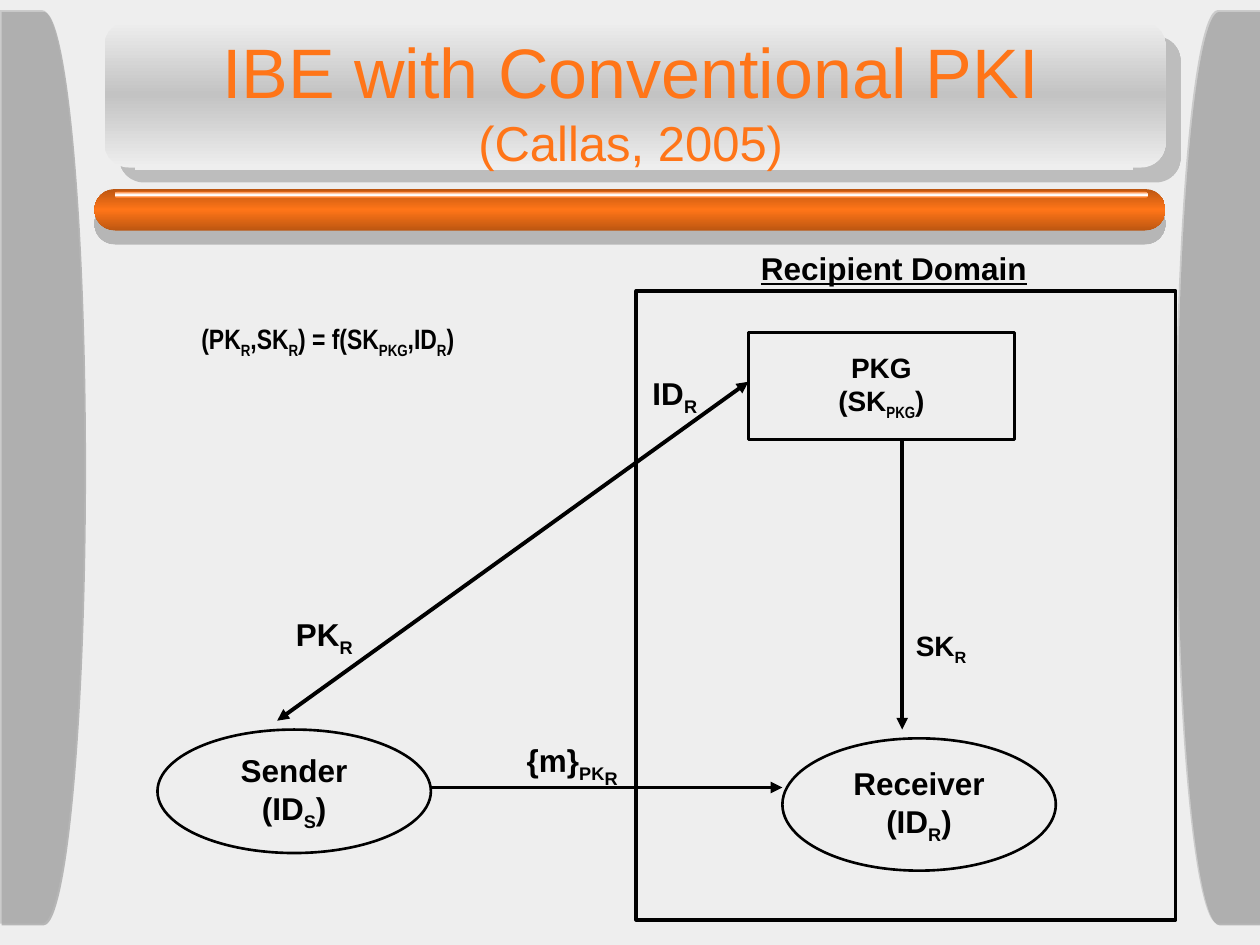
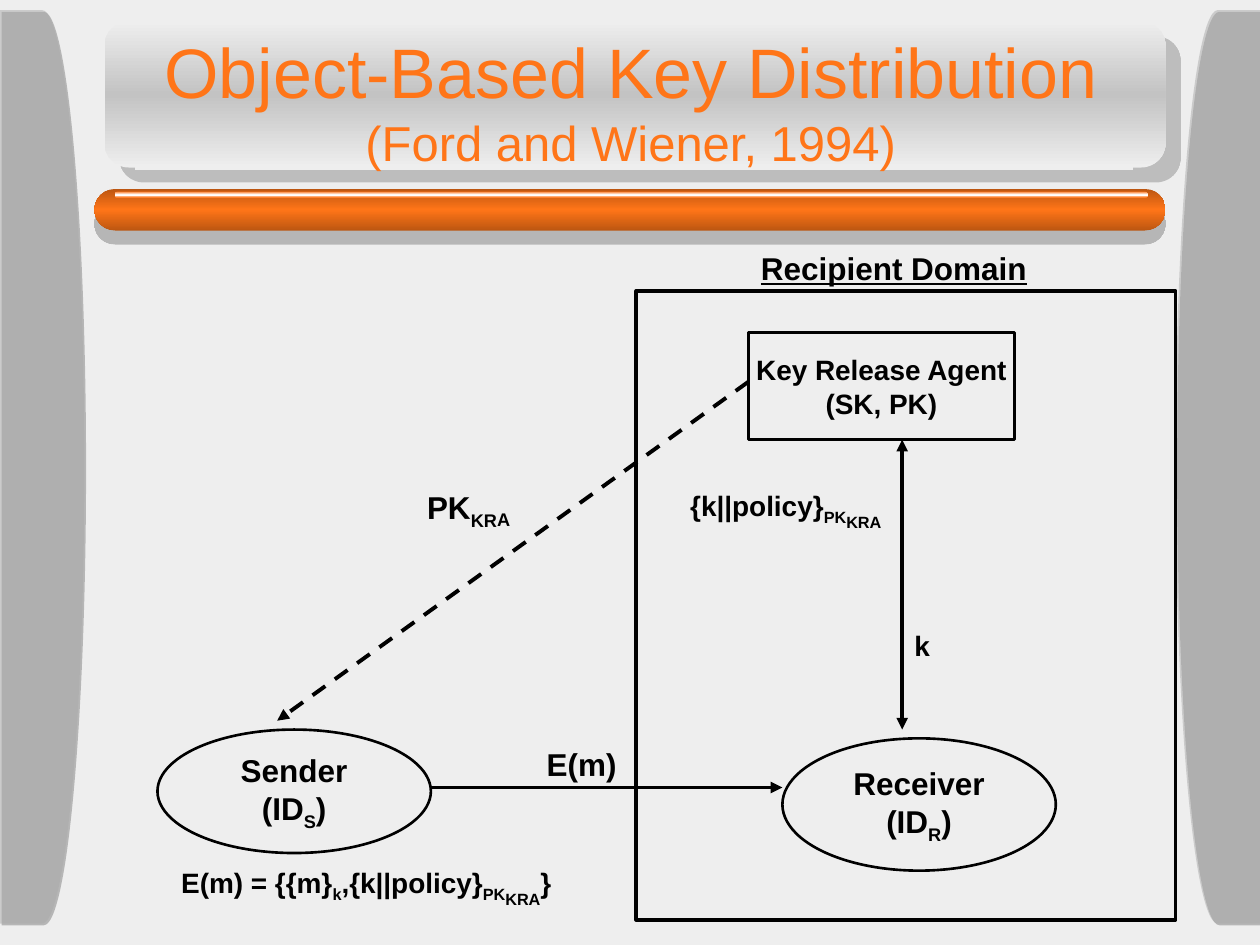
from copy import deepcopy

from lxml.etree import SubElement
from pptx import Presentation
from pptx.dml.color import RGBColor
from pptx.enum.dml import MSO_LINE
from pptx.enum.shapes import MSO_CONNECTOR, MSO_SHAPE
from pptx.enum.text import MSO_ANCHOR, MSO_AUTO_SIZE, PP_ALIGN
from pptx.oxml.ns import qn
from pptx.util import Inches, Pt

PAPER, SILVER, GREY = "EEEEEE", "C3C3C3", "AAAAAA"
ORANGE, RUST, WHITE, BLACK = "FF7518", "BC5611", "FFFFFF", "000000"
FONT, NARROW = "Arial", "Arial Narrow"
TITLE = (0.92, 0.33, 8.17, 0.92)
DOMAIN = (5.05, 2.31, 4.28, 4.99)
SENDER = (1.25, 5.79, 2.17, 0.98)
TILT = -0.3


def color(hex_code):
    """Turn a hex string into a colour."""
    return RGBColor.from_string(hex_code)


def within(box, dx, dy, w, h):
    """Return a box offset from the corner of another one."""
    return box[0] + dx, box[1] + dy, w, h


def sub(text, font=None):
    """Describe a subscript run."""
    return text, -25, font


def subsub(text):
    """Describe a subscript of a subscript."""
    return text, -43, None


def add_run(p, text, size, hex_code, font=FONT, bold=False, underline=None, base=0):
    """Add one formatted run to a paragraph."""
    r = p.add_run()
    r.text = text
    r.font.name, r.font.size = font, Pt(size)
    r.font.bold, r.font.underline = bold, underline
    r.font.color.rgb = color(hex_code)
    if base:
        r.font._element.set("baseline", str(base * 1000))
    return r


def write(tf, lines, size, font=FONT, align=PP_ALIGN.LEFT, underline=None):
    """Write lines made of plain strings and subscript runs."""
    for i, line in enumerate(lines):
        p = tf.paragraphs[0] if i == 0 else tf.add_paragraph()
        p.alignment = align
        for part in line:
            text, base, own_font = (part, 0, None) if isinstance(part, str) else part
            add_run(p, text, size, BLACK, own_font or font, True, underline, base)


def add_label(s, box, parts, size=18, font=FONT, rotation=0, wrap=True, underline=None):
    """Add a one-line text label."""
    sp = s.shapes.add_textbox(*map(Inches, box))
    sp.rotation = rotation
    sp.text_frame.word_wrap = wrap
    sp.text_frame.auto_size = MSO_AUTO_SIZE.SHAPE_TO_FIT_TEXT
    write(sp.text_frame, [parts], size, font, underline=underline)


def add_plain(s, kind, box):
    """Add a preset shape without line or shadow."""
    sp = s.shapes.add_shape(kind, *map(Inches, box))
    sp.shadow.inherit = False
    sp.line.fill.background()
    return sp


def add_node(s, kind, box, lines=(), size=18, width=1.5):
    """Add an outlined shape with centred text."""
    sp = add_plain(s, kind, box)
    sp.fill.background()
    sp.line.color.rgb = color(BLACK)
    sp.line.width = Pt(width)
    tf = sp.text_frame
    tf.word_wrap = False
    tf.vertical_anchor = MSO_ANCHOR.MIDDLE
    write(tf, lines, size, align=PP_ALIGN.CENTER)


def add_line(s, start, end, hex_code=BLACK, head=False, tail=False, dashed=False):
    """Add a straight line with optional arrowheads."""
    cx = s.shapes.add_connector(MSO_CONNECTOR.STRAIGHT, *map(Inches, start + end))
    cx.line.color.rgb = color(hex_code)
    cx.line.width = Pt(2.25)
    if dashed:
        cx.line.dash_style = MSO_LINE.DASH
    ln = cx.line._get_or_add_ln()
    for tag, shown in (("a:headEnd", head), ("a:tailEnd", tail)):
        if shown:
            SubElement(ln, qn(tag), type="triangle")
    SubElement(cx.element.spPr, qn("a:effectLst"))


def add_shadow(sp, hex_code, distance, angle):
    """Give a shape a hard, half-transparent shadow."""
    effects = sp.element.spPr.find(qn("a:effectLst"))
    shadow = SubElement(effects, qn("a:outerShdw"), blurRad="0", dist=str(Pt(distance)),
                        dir=str(angle * 60000), algn="ctr", rotWithShape="0")
    clr = SubElement(shadow, qn("a:srgbClr"), val=hex_code)
    SubElement(clr, qn("a:alpha"), val="50000")


def add_pill(s, box, edge, middle, rounding):
    """Add a rounded bar shaded from edge to middle and back."""
    sp = add_plain(s, MSO_SHAPE.ROUNDED_RECTANGLE, box)
    sp.adjustments[0] = rounding
    sp.fill.gradient()
    sp.fill.gradient_angle = 90
    stops = sp.element.spPr.find(".//" + qn("a:gsLst"))
    for gs in list(stops):
        stops.remove(gs)
    for pos, hex_code in ((0, edge), (50000, middle), (100000, edge)):
        gs = SubElement(stops, qn("a:gs"), pos=str(pos))
        SubElement(gs, qn("a:srgbClr"), val=hex_code)
    return sp


def title_band(s, box):
    """Draw the silver band behind the title."""
    left, top, w, h = box
    add_shadow(add_pill(s, box, PAPER, SILVER, 0.167), "8E8E8E", 12.1, 45)
    add_line(s, (left + 0.24, top + h), (left + w - 0.26, top + h), PAPER)


def accent_bar(s, box):
    """Draw the orange bar with its highlight."""
    add_shadow(add_pill(s, box, RUST, ORANGE, 0.5), "808080", 8, 90)
    add_pill(s, within(box, 0.16, 0.02, box[2] - 0.3, 0.05), ORANGE, WHITE, 0.5)


def side_panel(s, box, flipped):
    """Draw a translucent grey panel on one side."""
    sp = add_plain(s, MSO_SHAPE.FLOWCHART_DELAY, box)
    sp.fill.solid()
    sp.fill.fore_color.rgb = color(GREY)
    clr = sp.element.spPr.find(qn("a:solidFill"))[0]
    SubElement(clr, qn("a:alpha"), val="50000")
    add_shadow(sp, "808080", 1.4, 45)
    if flipped:
        sp.element.spPr.find(qn("a:xfrm")).set("flipH", "1")


def dress_layout(prs, layout, s):
    """Set the background and move the shared decoration onto the layout."""
    fill = prs.slide_master.background.fill
    fill.solid()
    fill.fore_color.rgb = color(PAPER)
    for ph in list(layout.placeholders)[1:]:
        ph.element.getparent().remove(ph.element)
    title_band(s, (0.83, 0.17, 8.42, 1.16))
    accent_bar(s, (0.75, 1.5, 8.5, 0.33))
    for left, flipped in ((0, False), (9.33, True)):
        side_panel(s, (left, 0.08, 0.67, 7.25), flipped)
    for sp in list(s.shapes)[1:]:
        layout.shapes.element.append(sp.element)


def set_title(s, heading, citation):
    """Place the title with its citation below."""
    title = s.shapes.title
    title.left, title.top, title.width, title.height = map(Inches, TITLE)
    tf = title.text_frame
    tf.word_wrap = True
    tf.auto_size = MSO_AUTO_SIZE.NONE
    tf.vertical_anchor = MSO_ANCHOR.MIDDLE
    p = tf.paragraphs[0]
    p.alignment = PP_ALIGN.CENTER
    r = add_run(p, heading, 40, ORANGE)
    p.add_line_break()
    r._r.getnext().append(deepcopy(r._r.rPr))
    add_run(p, citation, 28, ORANGE)


def recipient_domain(s, box, agent_lines, two_way):
    """Draw the recipient domain with its agent and receiver."""
    left, top = box[:2]
    add_node(s, MSO_SHAPE.RECTANGLE, box, width=2.25)
    add_label(s, within(box, 0.89, -0.38, 2.31, 0.4), ["Recipient Domain"],
              wrap=False, underline=True)
    add_node(s, MSO_SHAPE.RECTANGLE, within(box, 0.89, 0.33, 2.11, 0.85), agent_lines, 16)
    add_node(s, MSO_SHAPE.OVAL, within(box, 1.16, 3.55, 2.17, 1.05),
             [["Receiver"], ["(ID", sub("R"), ")"]])
    add_line(s, (left + 2.11, top + 1.18), (left + 2.11, top + 3.48), head=two_way, tail=True)


def sender(s, box, two_way, dashed):
    """Draw the sender and its links to the domain."""
    left, top, w, _ = box
    add_node(s, MSO_SHAPE.OVAL, box, [["Sender"], ["(ID", sub("S"), ")"]])
    add_line(s, (left + w, top + 0.46), (left + w + 2.79, top + 0.46), tail=True)
    add_line(s, (left + 4.69, top - 2.76), (left + 0.95, top - 0.07),
             head=two_way, tail=True, dashed=dashed)


def ibe_slide(s):
    """Build the identity-based encryption slide."""
    set_title(s, "IBE with Conventional PKI", "(Callas, 2005)")
    recipient_domain(s, DOMAIN, [["PKG"], ["(SK", sub("PKG", NARROW), ")"]], False)
    sender(s, SENDER, True, False)
    add_label(s, (1.5, 2.5, 2.58, 0.41),
              ["(PK", sub("R"), ",SK", sub("R"), ") = f(SK", sub("PKG"), ",ID", sub("R"), ")"],
              16, NARROW)
    add_label(s, within(DOMAIN, 2.12, 2.63, 0.8, 0.41), ["SK", sub("R")], 16)
    for box, parts in (
        (within(SENDER, 2.83, 0.04, 1.15, 0.49), ["{m}", sub("PK"), subsub("R")]),
        (within(SENDER, 1, -0.96, 0.83, 0.44), ["PK", sub("R")]),
        (within(DOMAIN, 0.03, 0.61, 0.83, 0.44), ["ID", sub("R")]),
    ):
        add_label(s, box, parts, rotation=TILT)


def key_release_slide(s):
    """Build the object-based key distribution slide."""
    set_title(s, "Object-Based Key Distribution", "(Ford and Wiener, 1994)")
    recipient_domain(s, DOMAIN, [["Key Release Agent"], ["(SK, PK)"]], True)
    sender(s, SENDER, False, True)
    policy_key = [sub("PK"), subsub("KRA")]
    for box, parts in (
        (within(DOMAIN, 0.33, 1.52, 2.2, 0.45), ["{k||policy}", *policy_key]),
        (within(DOMAIN, 2.11, 2.63, 0.5, 0.37), ["k"]),
        (within(SENDER, 0.09, 1.03, 3.7, 0.45),
         ["E(m) = {{m}", sub("k"), ",{k||policy}", *policy_key, "}"]),
    ):
        add_label(s, box, parts, 16)
    for box, parts in (
        (within(SENDER, 2.04, -1.97, 1.49, 0.44), ["PK", sub("KRA")]),
        (within(SENDER, 2.99, 0.07, 1.15, 0.4), ["E(m)"]),
    ):
        add_label(s, box, parts, rotation=TILT)


def main():
    """Build and save the presentation."""
    prs = Presentation()
    prs.slide_width, prs.slide_height = Inches(10), Inches(7.5)
    layout = prs.slide_layouts[5]
    slides = [prs.slides.add_slide(layout) for _ in range(2)]
    dress_layout(prs, layout, slides[0])
    ibe_slide(slides[0])
    key_release_slide(slides[1])
    prs.save("out.pptx")


if __name__ == "__main__":
    main()
